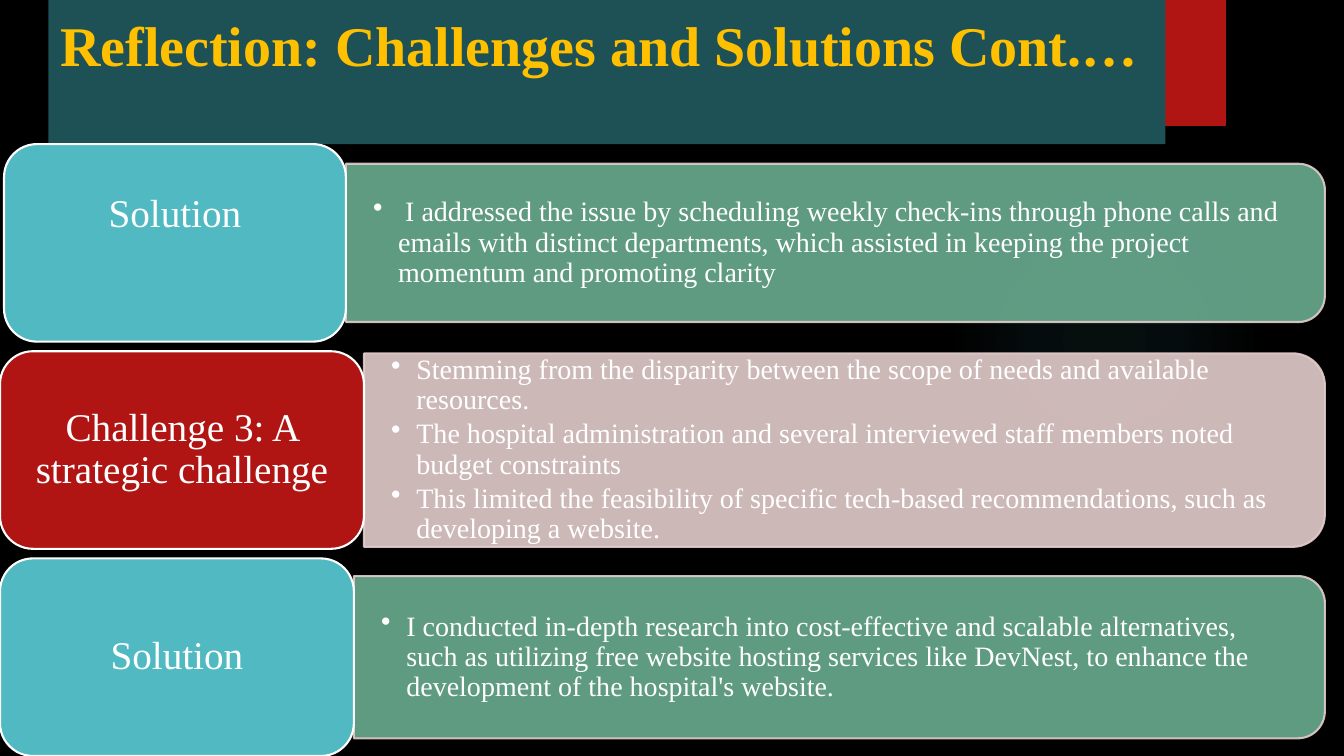
from dataclasses import dataclass

from lxml.etree import SubElement
from pptx import Presentation
from pptx.dml.color import RGBColor
from pptx.enum.shapes import MSO_SHAPE
from pptx.enum.text import MSO_ANCHOR, MSO_AUTO_SIZE, PP_ALIGN
from pptx.oxml import parse_xml
from pptx.oxml.ns import nsdecls, qn
from pptx.shapes.autoshape import Shape
from pptx.slide import Slide
from pptx.text.text import TextFrame
from pptx.util import Inches, Pt


@dataclass(frozen=True)
class Theme:
    font: str = "Times New Roman"
    background: str = "000000"
    banner: str = "1E5155"
    heading: str = "FFC000"
    text: str = "FFFFFF"
    challenge: str = "B01513"
    challenge_panel: str = "E4CCCC"
    solution: str = "50B9C1"
    solution_panel: str = "6AAC90"
    panel_outline: str = "E4CCCC"
    title_size: float = 40
    label_size: float = 28
    detail_size: float = 20
    outline_width: float = 1.5
    panel_opacity: int = 90


@dataclass(frozen=True)
class Row:
    label: str
    details: tuple[str, ...]
    label_color: str
    panel_color: str
    label_width: float
    panel_height: float
    label_left: float = 0
    label_lift: float = 0


THEME = Theme()
FIRST_ROW_TOP = 1.43
ROW_PITCH = 2.055
LABEL_HEIGHT = 1.96
PANEL_RIGHT = 13.14
PANEL_MARGIN = 0.08

ROWS = (
    Row("Solution",
        (" I addressed the issue by scheduling weekly check-ins through phone calls and emails "
         "with distinct departments, which assisted in keeping the project momentum and "
         "promoting clarity",),
        THEME.solution, THEME.solution_panel, 3.39, 1.57, label_left=0.04, label_lift=0.55),
    Row("Challenge 3: A strategic challenge",
        ("Stemming from the disparity between the scope of needs and available resources.",
         "The hospital administration and several interviewed staff members noted budget "
         "constraints",
         "This limited the feasibility of specific tech-based recommendations, such as "
         "developing a website."),
        THEME.challenge, THEME.challenge_panel, 3.61, 1.92),
    Row("Solution",
        ("I conducted in-depth research into cost-effective and scalable alternatives, such as "
         "utilizing free website hosting services like DevNest, to enhance the development of "
         "the hospital's website.",),
        THEME.solution, THEME.solution_panel, 3.51, 1.61),
)


def write_text(frame: TextFrame, paragraphs: tuple[str, ...], *, size: float,
               color: str = THEME.text, bold: bool = False,
               align: PP_ALIGN = PP_ALIGN.LEFT, anchor: MSO_ANCHOR = MSO_ANCHOR.MIDDLE,
               insets: tuple[float, float, float, float] = (0.1, 0.05, 0.1, 0.05),
               line_spacing: float = 1.0, space_after: float = 0,
               bulleted: bool = False) -> None:
    """Fill a frame; insets run left, top, right, bottom in inches."""
    frame.word_wrap = True
    frame.auto_size = MSO_AUTO_SIZE.NONE
    frame.vertical_anchor = anchor
    (frame.margin_left, frame.margin_top,
     frame.margin_right, frame.margin_bottom) = map(Inches, insets)
    for index, content in enumerate(paragraphs):
        paragraph = frame.add_paragraph() if index else frame.paragraphs[0]
        if bulleted:
            properties = paragraph._p.get_or_add_pPr()
            properties.set("marL", str(Inches(0.25)))
            properties.set("indent", str(Inches(-0.25)))
            SubElement(properties, qn("a:buChar")).set("char", "•")
        paragraph.alignment = align
        paragraph.line_spacing = line_spacing
        paragraph.space_before = Pt(0)
        paragraph.space_after = Pt(space_after)
        run = paragraph.add_run()
        run.text = content
        run.font.name = THEME.font
        run.font.size = Pt(size)
        run.font.bold = bold
        run.font.color.rgb = RGBColor.from_string(color)


def add_block(slide: Slide, kind: MSO_SHAPE, left: float, top: float, width: float,
              height: float, fill: str, outline: str | None = None) -> Shape:
    block = slide.shapes.add_shape(kind, Inches(left), Inches(top),
                                   Inches(width), Inches(height))
    block.shadow.inherit = False
    block.fill.solid()
    block.fill.fore_color.rgb = RGBColor.from_string(fill)
    if outline:
        block.line.color.rgb = RGBColor.from_string(outline)
        block.line.width = Pt(THEME.outline_width)
    else:
        block.line.fill.background()
    return block


def add_glow(slide: Slide) -> None:
    glow = add_block(slide, MSO_SHAPE.OVAL, 9.41, 1.83, 3.08, 3.08, THEME.solution)
    stops = "".join(
        f'<a:gs pos="{position * 1000}"><a:srgbClr val="{THEME.solution}">'
        f'<a:alpha val="{opacity * 1000}"/></a:srgbClr></a:gs>'
        for position, opacity in ((0, 7), (36, 6), (69, 0), (100, 0)))
    gradient = parse_xml(
        f'<a:gradFill {nsdecls("a")}><a:gsLst>{stops}</a:gsLst><a:path path="circle">'
        '<a:fillToRect l="50000" t="50000" r="50000" b="50000"/></a:path></a:gradFill>')
    properties = glow._element.spPr
    properties.replace(properties.find(qn("a:solidFill")), gradient)


def place_title(slide: Slide) -> None:
    title = slide.shapes.title
    slide.shapes._spTree.append(title._element)
    title.left, title.top = Inches(0.48), Inches(0)
    title.width, title.height = Inches(11.08), Inches(1.43)
    title.fill.solid()
    title.fill.fore_color.rgb = RGBColor.from_string(THEME.banner)
    write_text(title.text_frame, ("Reflection: Challenges and Solutions Cont.…",),
               size=THEME.title_size, color=THEME.heading, bold=True,
               align=PP_ALIGN.CENTER, anchor=MSO_ANCHOR.TOP, insets=(0.05, 0.1, 0.21, 0.05))


def add_panel(slide: Slide, row: Row, left: float, middle: float) -> None:
    """Draw a panel rounded on the right: a top-rounded shape turned a quarter."""
    width, height = PANEL_RIGHT - left, row.panel_height
    panel = add_block(slide, MSO_SHAPE.ROUND_2_SAME_RECTANGLE,
                      left + (width - height) / 2, middle - width / 2, height, width,
                      row.panel_color, THEME.panel_outline)
    panel.rotation = 90
    for color in panel._element.spPr.iter(qn("a:srgbClr")):
        SubElement(color, qn("a:alpha")).set("val", str(THEME.panel_opacity * 1000))
    details = slide.shapes.add_textbox(
        Inches(left), Inches(middle - height / 2 + PANEL_MARGIN),
        Inches(width - PANEL_MARGIN), Inches(height - 2 * PANEL_MARGIN))
    write_text(details.text_frame, row.details, size=THEME.detail_size, bulleted=True,
               insets=(0.27, 0.14, 0.27, 0.14), line_spacing=0.9, space_after=3)


def add_row(slide: Slide, row: Row, top: float) -> None:
    add_panel(slide, row, row.label_left + row.label_width, top + LABEL_HEIGHT / 2)
    label = add_block(slide, MSO_SHAPE.ROUNDED_RECTANGLE, row.label_left, top,
                      row.label_width, LABEL_HEIGHT, row.label_color, THEME.text)
    write_text(label.text_frame, (row.label,), size=THEME.label_size,
               align=PP_ALIGN.CENTER, line_spacing=0.9,
               insets=(0.12, 0.16, 0.12, 0.16 + row.label_lift))


def main() -> None:
    deck = Presentation()
    deck.slide_width, deck.slide_height = Inches(13.33), Inches(7.5)
    slide = deck.slides.add_slide(deck.slide_layouts[5])
    slide.background.fill.solid()
    slide.background.fill.fore_color.rgb = RGBColor.from_string(THEME.background)
    add_glow(slide)
    add_block(slide, MSO_SHAPE.RECTANGLE, 11.41, 0, 0.75, 1.25, THEME.challenge)
    place_title(slide)
    for index, row in enumerate(ROWS):
        add_row(slide, row, FIRST_ROW_TOP + index * ROW_PITCH)
    deck.save("out.pptx")


if __name__ == "__main__":
    main()
